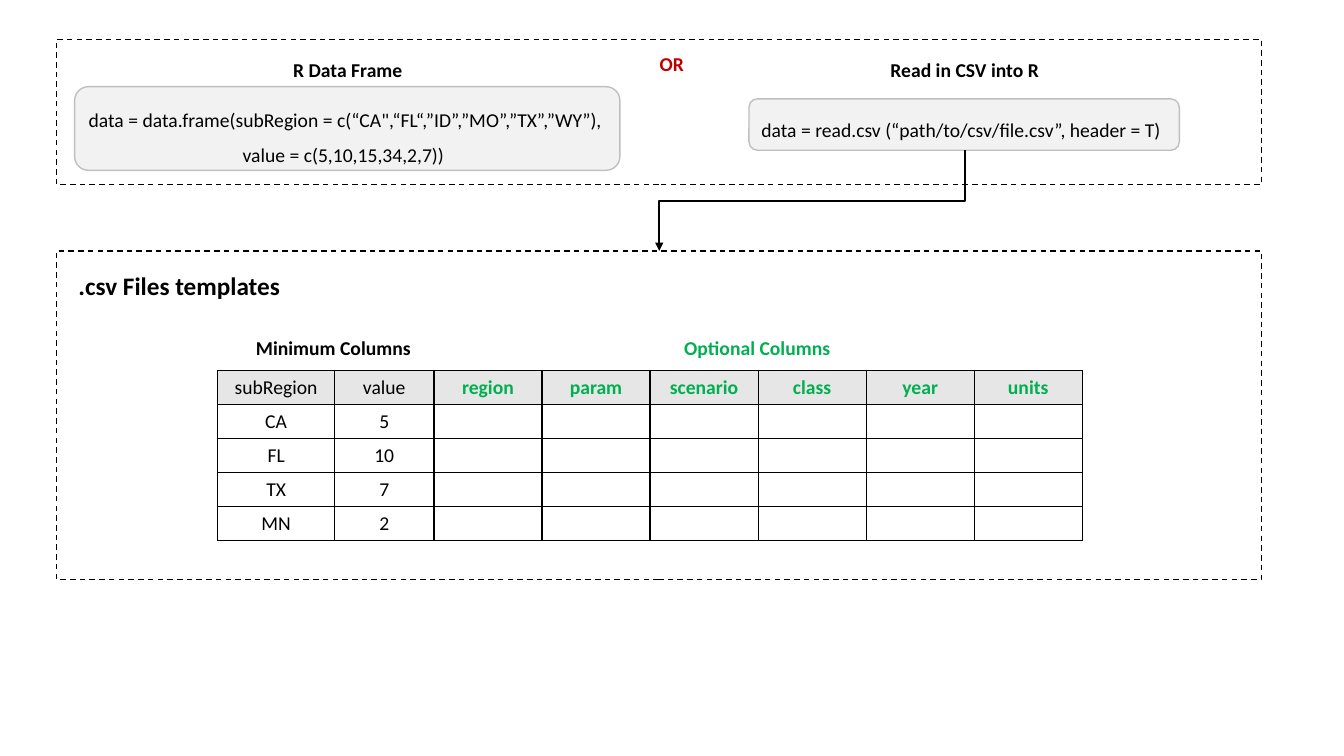
from lxml.etree import SubElement
from pptx import Presentation
from pptx.dml.color import RGBColor
from pptx.enum.dml import MSO_LINE
from pptx.enum.shapes import MSO_CONNECTOR, MSO_SHAPE
from pptx.enum.text import MSO_ANCHOR, PP_ALIGN
from pptx.oxml import parse_xml
from pptx.oxml.ns import nsdecls, qn
from pptx.util import Pt

COLORS = {"black": "000000", "green": "00B050", "red": "C00000",
          "header": "E7E6E6", "code": "F2F2F2", "code_line": "BFBFBF"}


def rgb(name):
    return RGBColor.from_string(COLORS[name])


def write(p, text, color="black", bold=False, size=14, align=PP_ALIGN.CENTER, spacing=None):
    p.text = text
    p.alignment = align
    p.line_spacing = spacing
    p.font.name = "Calibri"
    p.font.size = Pt(size)
    p.font.bold = bold
    p.font.color.rgb = rgb(color)


prs = Presentation()
prs.slide_width, prs.slide_height = Pt(960), Pt(540)
s = prs.slides.add_slide(prs.slide_layouts[6])

header = ["subRegion", "value", "region", "param", "scenario", "class", "year", "units"]
rows = [header, ["CA", "5"], ["FL", "10"], ["TX", "7"], ["MN", "2"]]
widths = [83.5, 71] + [77.2] * 6
row_height = 24.3
table = s.shapes.add_table(len(rows), len(header), Pt(155.5), Pt(264.7),
                           Pt(sum(widths)), Pt(row_height * len(rows))).table
table.horz_banding = False
for col, width in zip(table.columns, widths):
    col.width = Pt(width)
for i, values in enumerate(rows):
    table.rows[i].height = Pt(row_height)
    for j in range(len(header)):
        cell = table.cell(i, j)
        cell.vertical_anchor = MSO_ANCHOR.MIDDLE
        cell.margin_top = cell.margin_bottom = 0
        for side in ("lnL", "lnR", "lnT", "lnB"):
            cell._tc.get_or_add_tcPr().append(parse_xml(
                f'<a:{side} {nsdecls("a")} w="{Pt(1)}"><a:solidFill>'
                f'<a:srgbClr val="{COLORS["black"]}"/></a:solidFill></a:{side}>'))
        if i == 0:
            cell.fill.solid()
            cell.fill.fore_color.rgb = rgb("header")
        else:
            cell.fill.background()
        optional = j > 1
        write(cell.text_frame.paragraphs[0], values[j] if j < len(values) else "",
              "green" if optional else "black", optional)

code_boxes = [
    (53.3, 61.9, 389.5, 59.8,
     ["data = data.frame(subRegion = c(“CA\",“FL“,”ID”,”MO”,”TX”,”WY”),",
      "value = c(5,10,15,34,2,7))"]),
    (535, 70.6, 307.4, 36.7, ["data = read.csv (“path/to/csv/file.csv”, header = T)"]),
]
for x, y, w, h, lines in code_boxes:
    sp = s.shapes.add_shape(MSO_SHAPE.ROUNDED_RECTANGLE, Pt(x), Pt(y), Pt(w), Pt(h))
    sp.shadow.inherit = False
    sp.fill.solid()
    sp.fill.fore_color.rgb = rgb("code")
    sp.line.color.rgb = rgb("code_line")
    sp.line.width = Pt(1)
    tf = sp.text_frame
    tf.vertical_anchor = MSO_ANCHOR.TOP
    for i, line in enumerate(lines):
        p = tf.paragraphs[0] if i == 0 else tf.add_paragraph()
        write(p, line, align=PP_ALIGN.LEFT, spacing=1.5)
        if i:
            p._p.get_or_add_pPr().set("marL", str(Pt(110)))

for y, h in ((28.1, 103.6), (179.3, 234.5)):
    sp = s.shapes.add_shape(MSO_SHAPE.RECTANGLE, Pt(40.2), Pt(y), Pt(861), Pt(h))
    sp.shadow.inherit = False
    sp.fill.background()
    sp.line.color.rgb = rgb("black")
    sp.line.width = Pt(1)
    sp.line.dash_style = MSO_LINE.DASH

labels = [
    ("Minimum Columns", 175.7, 236.2, 126, 24.2, "black", 14, None),
    ("Optional Columns", 481.7, 236.2, 119.5, 24.2, "green", 14, None),
    ("R Data Frame", 180.7, 29.5, 135.4, 30.2, "black", 14, 1.5),
    ("OR", 404.6, 25.2, 150.5, 30.2, "red", 14, 1.5),
    ("Read in CSV into R", 621.4, 29.5, 135.4, 30.2, "black", 14, 1.5),
    (".csv Files templates", 26.6, 178.6, 203, 36.7, "black", 18, 1.5),
]
for text, x, y, w, h, color, size, spacing in labels:
    tf = s.shapes.add_textbox(Pt(x), Pt(y), Pt(w), Pt(h)).text_frame
    tf.word_wrap = spacing is not None
    write(tf.paragraphs[0], text, color, True, size,
          PP_ALIGN.CENTER if spacing else PP_ALIGN.LEFT, spacing)

start_x, start_y, end_x, end_y = 689, 107.3, 470.9, 179.3
mid_x, mid_y = (start_x + end_x) / 2, (start_y + end_y) / 2
half_w, half_h = (end_y - start_y) / 2, (start_x - end_x) / 2
arrow = s.shapes.add_connector(MSO_CONNECTOR.ELBOW, Pt(mid_x - half_w), Pt(mid_y - half_h),
                               Pt(mid_x + half_w), Pt(mid_y + half_h))
arrow.line.color.rgb = rgb("black")
arrow.line.width = Pt(1.5)
spPr = arrow._element.spPr
spPr.find(qn("a:xfrm")).set("rot", str(90 * 60000))
SubElement(spPr.find(qn("a:ln")), qn("a:tailEnd"), type="triangle")
SubElement(spPr, qn("a:effectLst"))

prs.save("out.pptx")
